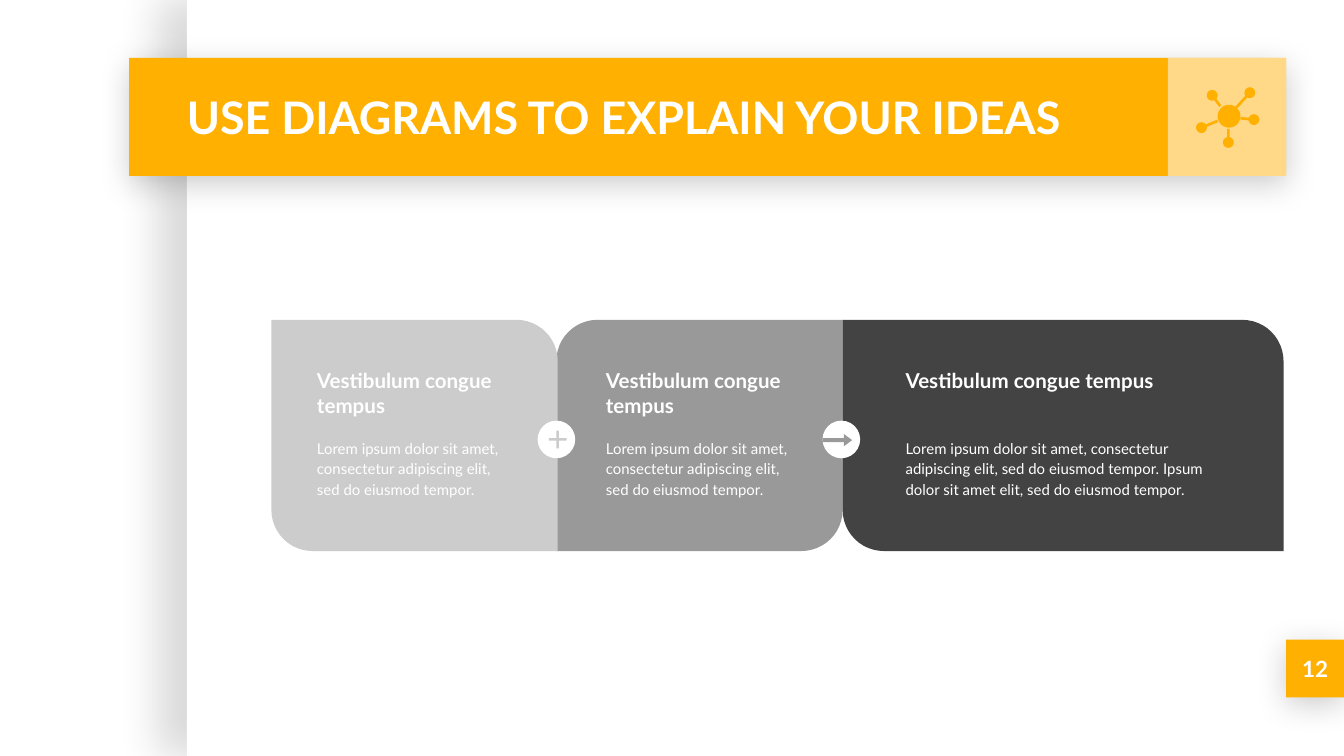
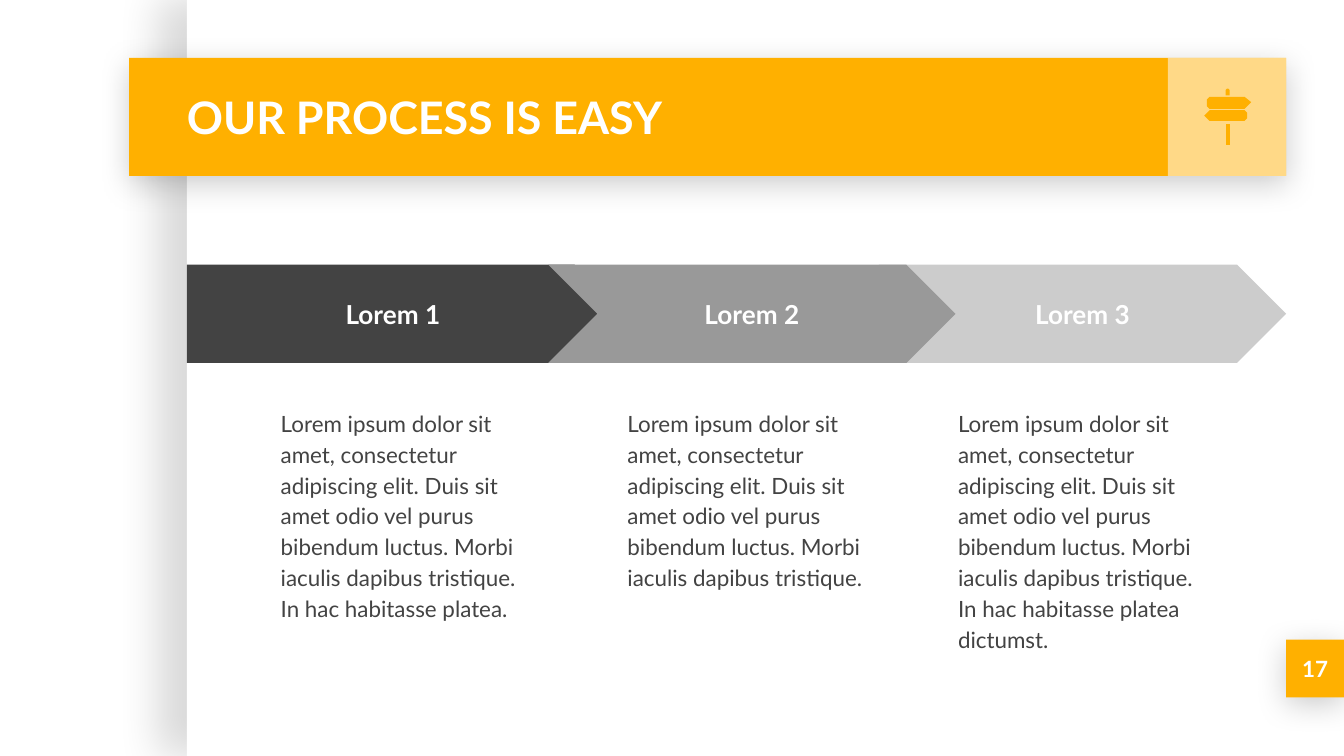
from dataclasses import dataclass, field
from math import atan2, cos, pi, sin
from typing import Any, NamedTuple, Optional

from lxml.etree import SubElement
from pptx import Presentation
from pptx.dml.color import RGBColor as Color
from pptx.enum.shapes import MSO_AUTO_SHAPE_TYPE as Kind
from pptx.enum.text import MSO_ANCHOR as Anchor
from pptx.enum.text import MSO_AUTO_SIZE as Fit
from pptx.enum.text import PP_ALIGN as Align
from pptx.oxml.ns import qn
from pptx.shapes.autoshape import Shape
from pptx.slide import Slide
from pptx.util import Inches, Pt


class Box(NamedTuple):
    x: float
    y: float
    w: float
    h: float

    def size(self) -> tuple:
        return tuple(Inches(v) for v in self)


class Point(NamedTuple):
    x: float
    y: float


class Shade(NamedTuple):
    alpha: int
    blur: float
    gap: float
    turn: int


class Node(NamedTuple):
    hub: Point
    tip: Point


@dataclass(frozen=True)
class Style:
    size: float
    ink: Color
    bold: bool = False
    align: Align = Align.LEFT
    anchor: Anchor = Anchor.TOP
    para: dict = field(default_factory=dict)


WHITE = Color.from_string("FFFFFF")
DARK = Color.from_string("434343")


@dataclass(frozen=True)
class Theme:
    face: str = "Lato"
    white: Color = WHITE
    gold: Color = Color.from_string("FFB000")
    dark: Color = DARK
    mid: Color = Color.from_string("999999")
    pale: Color = Color.from_string("CCCCCC")
    title: Style = Style(24, WHITE, True, anchor=Anchor.MIDDLE)
    page: Style = Style(12, WHITE, True, Align.CENTER, Anchor.MIDDLE)
    step: Style = Style(14, WHITE, True, Align.CENTER, Anchor.MIDDLE)
    head: Style = Style(11, WHITE, True)
    note: Style = Style(8, WHITE, para={"line_spacing": 1.15, "space_after": Pt(16)})
    body: Style = Style(12, DARK, para={"line_spacing": 1.15})
    side: Shade = Shade(15, 22.5, 15, 180)
    drop: Shade = Shade(20, 16.9, 3.8, 90)


T = Theme()


class Card(NamedTuple):
    x: float
    w: float
    inset: float
    span: float
    fill: Color
    bends: tuple
    text: str


class Step(NamedTuple):
    x: float
    w: float
    left: float
    kind: Kind
    fill: Color
    name: str
    text: str


WIDE = 10
HIGH = WIDE * 9 / 16
PAGE = Box(1.39, 0, WIDE - 1.39, HIGH)
BAND = Box(0.96, 0.43, 8.61, 0.88)
TILE = Box(8.69, 0.43, 0.88, 0.88)
TITLE = Box(1.29, 0.43, 7.37, 0.88)
BADGE = Box(9.57, 4.76, 0.43, 0.43)

LOREM = "Lorem ipsum dolor sit amet, consectetur adipiscing elit"
SHORT = f"{LOREM}, sed do eiusmod tempor."
LONG = f"{SHORT} Ipsum dolor sit amet elit, sed do eiusmod tempor."
DUIS = (f"{LOREM}. Duis sit amet odio vel purus bibendum luctus. "
        "Morbi iaculis dapibus tristique.")

CARDS = [
    Card(4.14, 2.13, 0.27, 1.59, T.mid, (0.178, 0), SHORT),
    Card(2.02, 2.13, 0.24, 1.59, T.pale, (0, 0.178), SHORT),
    Card(6.27, 3.28, 0.37, 2.64, T.dark, (0, 0.178), LONG),
]

STEPS = [
    Step(6.54, 3.03, 7.03, Kind.CHEVRON, T.pale, "Lorem 3",
         f"{DUIS} In hac habitasse platea dictumst."),
    Step(1.39, 3.25, 1.99, Kind.PENTAGON, T.dark, "Lorem 1",
         f"{DUIS} In hac habitasse platea."),
    Step(4.08, 3.03, 4.57, Kind.CHEVRON, T.mid, "Lorem 2", DUIS),
]

HUB = Box(9.06, 0.78, 0.17, 0.17)
NODES = [
    Node(Point(9.3, 0.69), Point(9.2, 0.8)),
    Node(Point(9.02, 0.71), Point(9.08, 0.79)),
    Node(Point(8.94, 0.95), Point(9.06, 0.9)),
    Node(Point(9.14, 1.06), Point(9.14, 0.96)),
    Node(Point(9.33, 0.89), Point(9.23, 0.88)),
]
SIGNS = [
    [(9, 0.72), (8.98, 0.74), (8.98, 0.79), (9, 0.81),
     (9.26, 0.81), (9.31, 0.76), (9.26, 0.72)],
    [(9, 0.82), (8.96, 0.86), (9, 0.9), (9.26, 0.9),
     (9.28, 0.88), (9.28, 0.84), (9.26, 0.82)],
    [(9.13, 0.66), (9.12, 0.67), (9.12, 0.71), (9.15, 0.71),
     (9.15, 0.67), (9.14, 0.66)],
    [(9.12, 0.92), (9.12, 1.08), (9.15, 1.08), (9.15, 0.92)],
]


def put(item: Any, vals: dict) -> None:
    for name, val in vals.items():
        setattr(item, name, val)


def paint(shape: Shape, fill: Color) -> None:
    shape.fill.solid()
    shape.fill.fore_color.rgb = fill
    shape.line.fill.background()
    shape.shadow.inherit = False


def draw(shapes: Any, kind: Kind, box: Box, fill: Color, bends: tuple = ()) -> Shape:
    shape = shapes.add_shape(kind, *box.size())
    for i, bend in enumerate(bends):
        shape.adjustments[i] = bend
    paint(shape, fill)
    return shape


def trace(shapes: Any, points: list) -> None:
    spots = [(Inches(x), Inches(y)) for x, y in points]
    pen = shapes.build_freeform(*spots[0], scale=1.0)
    pen.add_line_segments(spots[1:], close=True)
    paint(pen.convert_to_shape(), T.gold)


def write(shape: Shape, text: str, style: Style) -> None:
    frame = shape.text_frame
    pad = Inches(0.1)
    put(frame, {
        "word_wrap": True, "auto_size": Fit.NONE, "vertical_anchor": style.anchor,
        "margin_left": pad, "margin_right": pad, "margin_top": pad, "margin_bottom": pad,
    })
    para = frame.paragraphs[0]
    put(para, {"alignment": style.align, **style.para})
    run = para.add_run()
    run.text = text
    put(run.font, {"name": T.face, "size": Pt(style.size), "bold": style.bold})
    run.font.color.rgb = style.ink


def label(shapes: Any, box: Box, text: str, style: Style) -> None:
    write(shapes.add_textbox(*box.size()), text, style)


def cast(shape: Shape, shade: Shade) -> None:
    glow = SubElement(shape.element.spPr.find(qn("a:effectLst")), qn("a:outerShdw"), {
        "blurRad": str(Pt(shade.blur)), "dist": str(Pt(shade.gap)),
        "dir": str(shade.turn * 60000), "algn": "bl", "rotWithShape": "0",
    })
    tone = SubElement(glow, qn("a:srgbClr"), {"val": "000000"})
    SubElement(tone, qn("a:alpha"), {"val": str(shade.alpha * 1000)})


def fade(shape: Shape, alpha: int) -> None:
    tone = shape.element.spPr.find(qn("a:solidFill"))[0]
    SubElement(tone, qn("a:alpha"), {"val": str(alpha * 1000)})


def start(deck: Any, text: str, page: int) -> Slide:
    slide = deck.slides.add_slide(deck.slide_layouts[5])
    slide.background.fill.solid()
    slide.background.fill.fore_color.rgb = T.white
    shapes = slide.shapes
    for box, fill, shade in ((PAGE, T.white, T.side), (BADGE, T.gold, T.drop),
                             (BAND, T.gold, T.drop)):
        cast(draw(shapes, Kind.RECTANGLE, box, fill), shade)
    fade(draw(shapes, Kind.RECTANGLE, TILE, T.white), 53)
    title = shapes.title
    title.element.getparent().append(title.element)
    put(title, dict(zip(("left", "top", "width", "height"), TITLE.size())))
    write(title, text, T.title)
    label(shapes, BADGE, str(page), T.page)
    return slide


def spoke(node: Node, ray: float = 0.04, half: float = 0.01, count: int = 24) -> list:
    (x, y), tip = node
    turn = atan2(tip.y - y, tip.x - x)
    gap = 0.25
    step = (2 * pi - 2 * gap) / count
    arc = [(x + ray * cos(turn + gap + i * step), y + ray * sin(turn + gap + i * step))
           for i in range(count + 1)]
    dx, dy = half * sin(turn), half * cos(turn)
    return arc + [(tip.x + dx, tip.y - dy), (tip.x - dx, tip.y + dy)]


def add_card(slide: Slide, card: Card) -> None:
    shapes = slide.shapes.add_group_shape().shapes
    draw(shapes, Kind.ROUND_2_DIAG_RECTANGLE, Box(card.x, 2.38, card.w, 1.72),
         card.fill, card.bends)
    for y, h, text, style in ((2.64, 0.5, "Vestibulum congue tempus", T.head),
                              (3.15, 0.56, card.text, T.note)):
        box = Box(card.x + card.inset, y, card.span, h)
        write(draw(shapes, Kind.RECTANGLE, box, card.fill), text, style)


def add_mark(slide: Slide, x: float, kind: Kind, box: Box, fill: Color,
             bends: tuple) -> None:
    shapes = slide.shapes.add_group_shape().shapes
    draw(shapes, Kind.OVAL, Box(x, 3.13, 0.28, 0.28), T.white)
    draw(shapes, kind, box, fill, bends)


def add_step(slide: Slide, step: Step) -> None:
    shapes = slide.shapes.add_group_shape().shapes
    arrow = draw(shapes, step.kind, Box(step.x, 1.97, step.w, 0.73), step.fill, (0.5,))
    write(arrow, step.name, T.step)
    label(shapes, Box(step.left, 2.92, 2.05, 2.1), step.text, T.body)


def add_icon(slide: Slide, parts: list, hub: Optional[Box] = None) -> None:
    shapes = slide.shapes.add_group_shape().shapes
    for points in parts:
        trace(shapes, points)
    if hub:
        draw(shapes, Kind.OVAL, hub, T.gold)


def main() -> None:
    deck = Presentation()
    put(deck, {"slide_width": Inches(WIDE), "slide_height": Inches(HIGH)})

    slide = start(deck, "USE DIAGRAMS TO EXPLAIN YOUR IDEAS", 12)
    add_icon(slide, [spoke(node) for node in NODES], HUB)
    for card in CARDS:
        add_card(slide, card)
    add_mark(slide, 6.12, Kind.RIGHT_ARROW, Box(6.12, 3.23, 0.22, 0.09), T.mid, (0.32, 0.67))
    add_mark(slide, 4, Kind.MATH_PLUS, Box(4.06, 3.18, 0.18, 0.18), T.pale, (0.1,))

    slide = start(deck, "OUR PROCESS IS EASY", 17)
    add_icon(slide, SIGNS)
    for step in STEPS:
        add_step(slide, step)

    deck.save("out.pptx")


if __name__ == "__main__":
    main()
